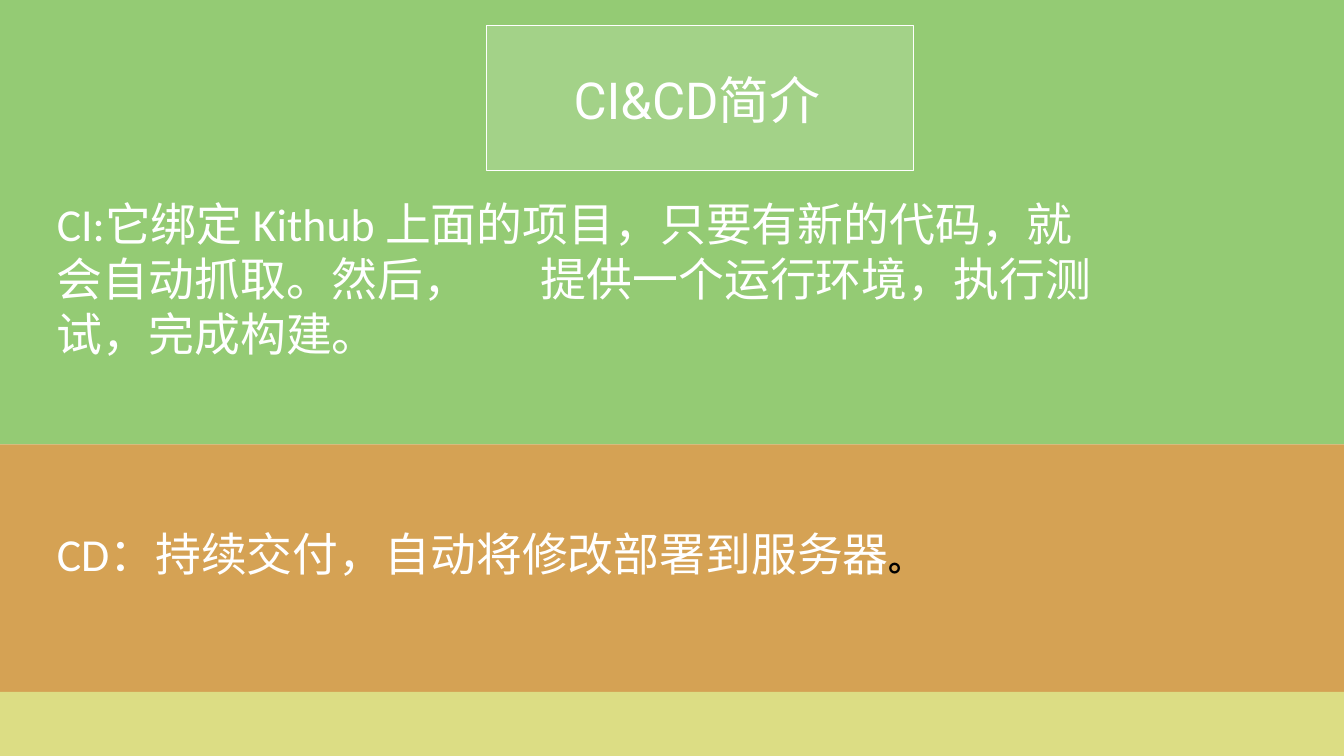
import dataclasses
import typing

import pptx
import pptx.dml.color
import pptx.enum.shapes
import pptx.enum.text
import pptx.oxml.ns
import pptx.util
from lxml import etree

Inches = pptx.util.Inches
Pt = pptx.util.Pt
WIDE, HIGH = 21.99, 12.37
WHITE = "FFFFFF"


@dataclasses.dataclass
class Box:
    left: float
    top: float
    width: float
    height: float
    fill: typing.Optional[str] = None
    alpha: int = 100
    line: typing.Optional[str] = None


def color(code: str) -> pptx.dml.color.RGBColor:
    return pptx.dml.color.RGBColor.from_string(code)


def place(box: Box) -> tuple:
    return tuple(Inches(n) for n in (box.left, box.top, box.width, box.height))


def draw(slide, box: Box) -> None:
    shape = slide.shapes.add_shape(pptx.enum.shapes.MSO_SHAPE.RECTANGLE, *place(box))
    shape.shadow.inherit = False
    if box.fill:
        shape.fill.solid()
        shape.fill.fore_color.rgb = color(box.fill)
        if box.alpha < 100:
            tone = shape.fill._xPr.find(".//" + pptx.oxml.ns.qn("a:srgbClr"))
            etree.SubElement(tone, pptx.oxml.ns.qn("a:alpha"), val=str(box.alpha * 1000))
    else:
        shape.fill.background()
    if box.line:
        shape.line.color.rgb = color(box.line)
        shape.line.width = Pt(0.82)
    else:
        shape.line.fill.background()


def frame(slide, box: Box, inset: typing.Optional[float] = None):
    body = slide.shapes.add_textbox(*place(box)).text_frame
    body.word_wrap = True
    if inset is not None:
        body.margin_left = body.margin_right = Inches(inset)
        body.margin_top = body.margin_bottom = Inches(inset)
    return body


def write(para, text: str, size: int = 54, font: str = "Calibri",
          tint: str = WHITE, bold: bool = False) -> None:
    run = para.add_run()
    run.text = text
    run.font.size = Pt(size)
    run.font.name = font
    run.font.bold = bold
    run.font.color.rgb = color(tint)


def add_tab(para, stop: float) -> None:
    props = para._p.get_or_add_pPr()
    tabs = etree.SubElement(props, pptx.oxml.ns.qn("a:tabLst"))
    etree.SubElement(tabs, pptx.oxml.ns.qn("a:tab"), pos=str(Inches(stop)), algn="l")


deck = pptx.Presentation()
deck.slide_width, deck.slide_height = Inches(WIDE), Inches(HIGH)
slide = deck.slides.add_slide(deck.slide_layouts[6])

top = 0.0
for height, fill in ((7.27, "94CB74"), (4.05, "D5A254"), (1.05, "DCDD84")):
    draw(slide, Box(0, top, WIDE, height, fill))
    top += height

draw(slide, Box(7.96, 0.42, 6.99, 2.38, WHITE, alpha=15))
draw(slide, Box(7.95, 0.41, 6.99, 2.38, line=WHITE))

title = frame(slide, Box(9.03, 1.07, 4.75, 1.72)).paragraphs[0]
title.alignment = pptx.enum.text.PP_ALIGN.CENTER
write(title, "CI&CD简介", size=60, font="Roboto")

body = frame(slide, Box(0.93, 3.2, 17.27, 7.71), inset=0)
build = body.paragraphs[0]
add_tab(build, 7.92)
write(build, "CI:它绑定 Kithub 上面的项目，只要有新的代码，就会自动抓取。然后，\t"
             "提供一个运行环境，执行测试，完成构建。")
ship = body.add_paragraph()
ship.space_before = Pt(195)
write(ship, "CD：持续交付，自动将修改部署到服务器")
write(ship, "。", size=40, tint="000000", bold=True)

deck.save("out.pptx")
